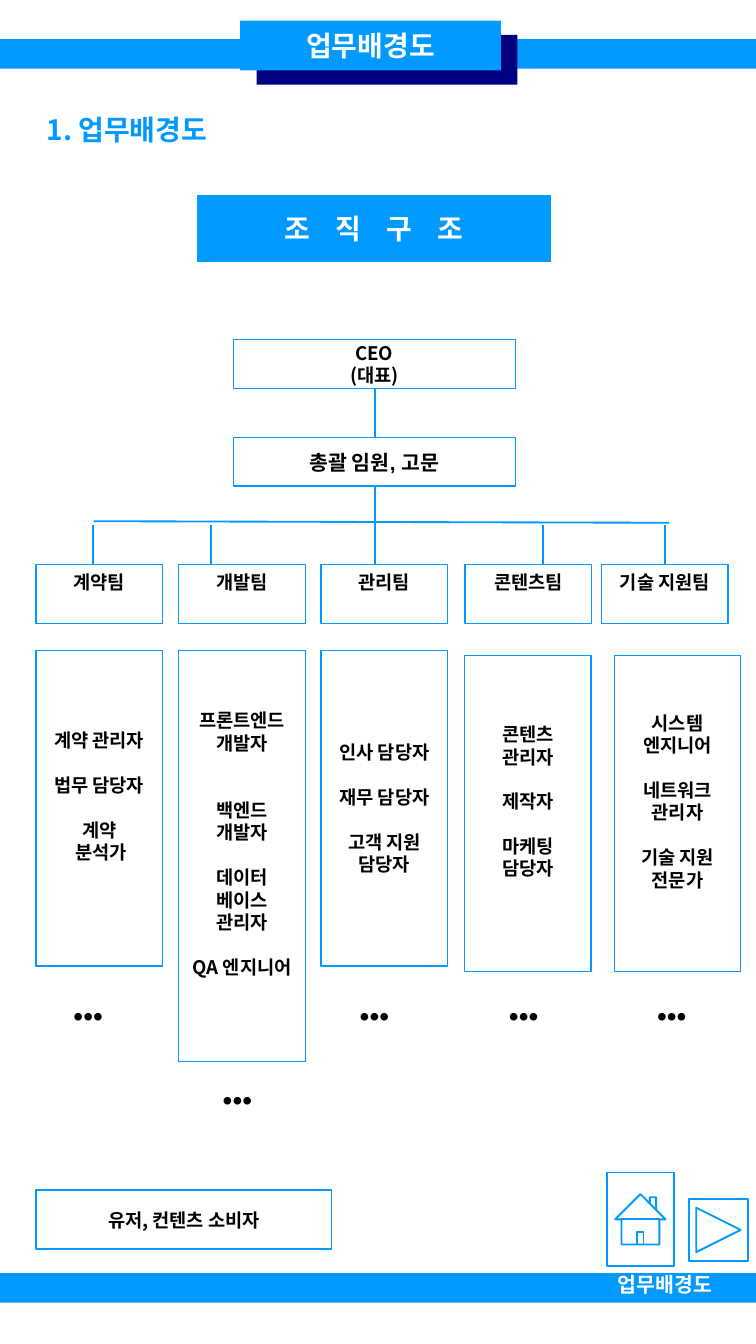
from lxml import etree
from pptx import Presentation
from pptx.dml.color import RGBColor
from pptx.enum.shapes import MSO_CONNECTOR, MSO_SHAPE as Shape
from pptx.enum.text import MSO_ANCHOR as Anchor, PP_ALIGN as Align
from pptx.oxml.ns import qn
from pptx.util import Cm, Pt

COLORS = {"blue": "0099FF", "navy": "000080", "white": "FFFFFF", "black": "000000"}
KOREAN = "Noto Sans CJK KR"
SLIDE_H = 25.4
SLIDE_W = SLIDE_H * 9 / 16
TEAM_W, TEAM_H, TEAM_Y = 2.39, 1.12, 10.67
PAD_X, PAD_Y = 0.2, 0.1
TAIL = 0.56  # bottom inset that lifts the text by half a line

# team, header x, drop x, body (x, y, height, bottom inset), dots (x, y), roles;
# a role is (text, lines of space before it)
TEAMS = [
    ("계약팀", 0.68, 1.75, (0.68, 12.29, 5.97, TAIL), (1.19, 18.78),
     [("계약 관리자", 0), ("법무 담당자", 1), ("계약", 1), (" 분석가", 0)]),
    ("개발팀", 3.38, 3.98, (3.38, 12.29, 7.77, TAIL), (4.01, 20.35),
     [("프론트엔드 개발자", 0), ("백엔드 개발자", 2),
      ("데이터 베이스 관리자", 1), ("QA 엔지니어", 1)]),
    ("관리팀", 6.07, None, (6.07, 12.29, 5.97, PAD_Y), (6.6, 18.78),
     [("인사 담당자", 0), ("재무 담당자", 1), ("고객 지원 담당자", 1)]),
    ("콘텐츠팀", 8.79, 10.26, (8.78, 12.39, 5.97, TAIL), (9.42, 18.78),
     [("콘텐츠 관리자", 0), ("제작자", 1), ("마케팅 담당자", 1)]),
    ("기술 지원팀", 11.37, 12.57, (11.61, 12.39, 5.97, TAIL), (12.22, 18.78),
     [("시스템 엔지니어", 0), ("네트워크 관리자", 1), ("기술 지원 전문가", 1)]),
]


def rgb(name):
    return RGBColor.from_string(COLORS[name])


def write(sp, lines, size=10, color="black", font=KOREAN, align=Align.CENTER,
          anchor=Anchor.MIDDLE, bottom=PAD_Y, pitch=None):
    """Fill a shape with (text, lines of space before) paragraphs."""
    tf = sp.text_frame
    tf.word_wrap = True
    tf.vertical_anchor = anchor
    tf.margin_left = tf.margin_right = Cm(PAD_X)
    tf.margin_top, tf.margin_bottom = Cm(PAD_Y), Cm(bottom)
    for i, (text, gap) in enumerate(lines):
        p = tf.add_paragraph() if i else tf.paragraphs[0]
        p.text = text
        p.alignment = align
        if pitch:
            p.line_spacing = Pt(pitch)
            p.space_before = Pt(gap * pitch)
        for r in p.runs:
            r.font.size, r.font.bold, r.font.name = Pt(size), True, font
            r.font.color.rgb = rgb(color)
            east_asian = etree.SubElement(r.font._element, qn("a:ea"))
            east_asian.set("typeface", KOREAN)


def box(s, x, y, w, h, fill=None, line="blue", width=0.75, kind=Shape.RECTANGLE):
    sp = s.shapes.add_shape(kind, Cm(x), Cm(y), Cm(w), Cm(h))
    sp.shadow.inherit = False
    if fill:
        sp.fill.solid()
        sp.fill.fore_color.rgb = rgb(fill)
    else:
        sp.fill.background()
    if line:
        sp.line.color.rgb = rgb(line)
        sp.line.width = Pt(width)
    else:
        sp.line.fill.background()
    return sp


def label(s, x, y, w, h, text, **style):
    tb = s.shapes.add_textbox(Cm(x), Cm(y), Cm(w), Cm(h))
    write(tb, [(text, 0)], align=Align.LEFT, **style)


def connect(s, x1, y1, x2, y2):
    c = s.shapes.add_connector(MSO_CONNECTOR.STRAIGHT, Cm(x1), Cm(y1), Cm(x2), Cm(y2))
    c.line.color.rgb = rgb("blue")
    c.line.width = Pt(1)
    etree.SubElement(c._element.spPr, qn("a:effectLst"))


def header(s):
    box(s, 0, 0.74, SLIDE_W, 0.56, "blue", None)
    box(s, 4.85, 0.66, 4.93, 0.94, "navy", None)
    write(box(s, 4.54, 0.39, 4.93, 0.94, "blue", None),
          [("업무배경도", 0)], size=15, color="white")
    label(s, 0.68, 2.03, 8.84, 0.84, "1. 업무배경도", size=15, color="blue")
    banner = box(s, 3.73, 3.7, 6.68, 1.24, "blue")
    write(banner, [("조 직 구 조", 0)], size=15, color="white")
    for r in banner.text_frame.paragraphs[0].runs:
        r.font._element.set("spc", "510")


def management(s):
    write(box(s, 4.41, 6.42, 5.33, 0.92), [("CEO", 0), ("(대표)", 0)], pitch=12)
    write(box(s, 4.41, 8.27, 5.33, 0.92), [("총괄 임원, 고문", 0)],
          size=11, font="Arial")
    connect(s, 7.09, 7.35, 7.09, 8.27)
    connect(s, 7.09, 9.19, 7.09, TEAM_Y)
    connect(s, 1.77, 9.85, 12.65, 9.88)


def team(s, name, x, drop_x, body, dots, roles):
    if drop_x is not None:
        connect(s, drop_x, 9.93, drop_x, TEAM_Y)
    write(box(s, x, TEAM_Y, TEAM_W, TEAM_H), [(name, 0)], bottom=TAIL, pitch=12)
    body_x, body_y, body_h, bottom = body
    write(box(s, body_x, body_y, TEAM_W, body_h), roles, bottom=bottom, pitch=12)
    label(s, *dots, 1.12, 0.84, "•••", size=15, font="Times New Roman",
          anchor=Anchor.TOP)


def footer(s):
    write(box(s, 0.68, 22.49, 5.59, TEAM_H), [("유저, 컨텐츠 소비자", 0)])
    box(s, 0, 24.06, SLIDE_W, 0.56, "blue", None)
    label(s, 11.48, 23.93, 2.64, 0.7, "업무배경도", size=11, color="white")
    box(s, 11.47, 22.16, 1.27, 1.77, width=1, kind=Shape.ACTION_BUTTON_HOME)
    box(s, 13.02, 22.66, 1.12, 1.17, width=1,
        kind=Shape.ACTION_BUTTON_FORWARD_OR_NEXT)


def main():
    prs = Presentation()
    prs.slide_width, prs.slide_height = Cm(SLIDE_W), Cm(SLIDE_H)
    s = prs.slides.add_slide(prs.slide_layouts[6])
    header(s)
    management(s)
    for row in TEAMS:
        team(s, *row)
    footer(s)
    prs.save("out.pptx")


if __name__ == "__main__":
    main()
